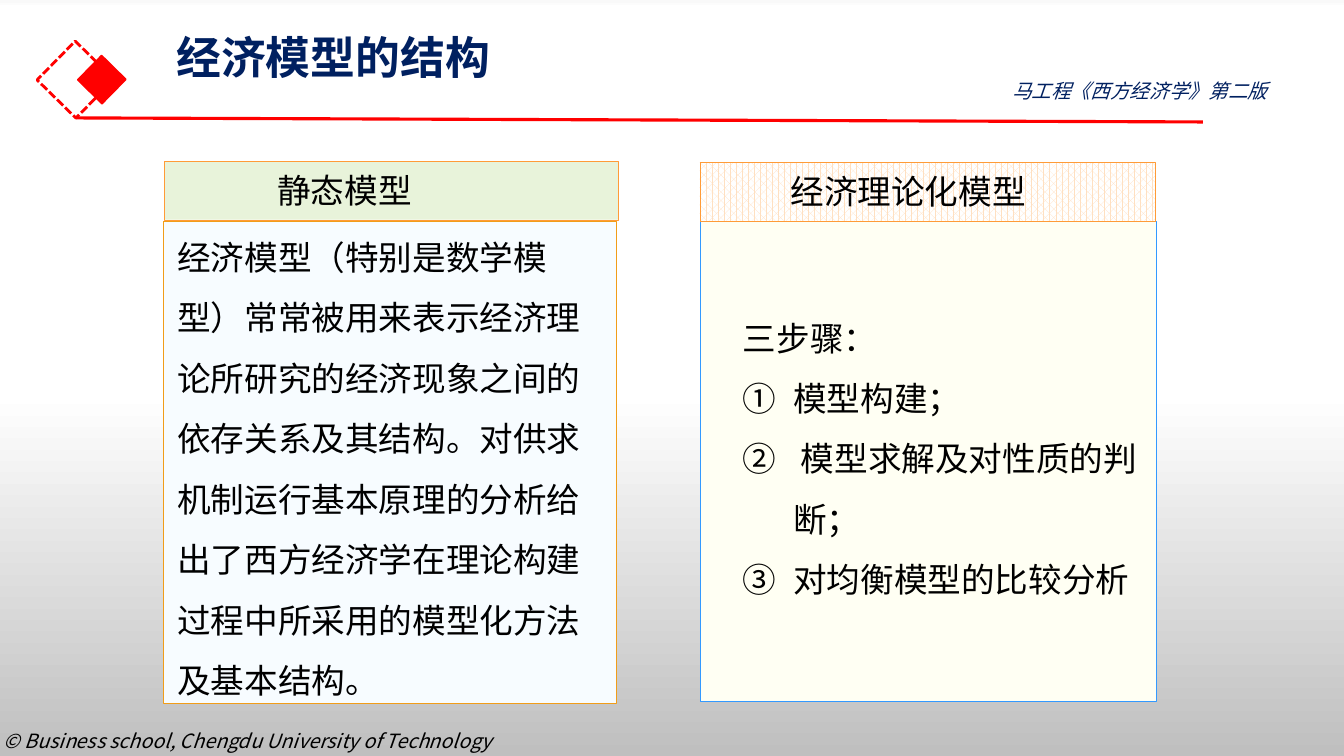
from typing import NamedTuple, Optional
from pptx import Presentation, util as u
from pptx.dml.color import RGBColor
from pptx.enum import dml, shapes, text
from pptx.oxml import parse_xml
from pptx.oxml.ns import nsdecls, qn

FONT = "Noto Sans CJK SC"
BLACK = RGBColor(0x00, 0x00, 0x00)
WHITE = RGBColor(0xFF, 0xFF, 0xFF)
NAVY = RGBColor(0x00, 0x20, 0x60)
RED = RGBColor(0xFF, 0x00, 0x00)
BLUE = RGBColor(0x33, 0x99, 0xFF)
GOLD = RGBColor(0xF1, 0x9D, 0x19)
AMBER = RGBColor(0xFF, 0x9B, 0x37)
PEACH = RGBColor(0xFF, 0xE0, 0xC1)
GREEN = RGBColor(0xE8, 0xF3, 0xDA)
CREAM = RGBColor(0xFF, 0xFF, 0xF3)
ICE = RGBColor(0xF7, 0xFC, 0xFF)
STOPS = [(0, "F9F9F9"), (1, "FFFFFF"), (52, "FFFFFF"), (100, "BFBFBF")]


class Area(NamedTuple):
    left: float
    top: float
    width: float
    height: float


class Box(NamedTuple):
    area: Area
    fill: Optional[RGBColor]
    line: RGBColor
    weight: float
    turn: float = 0
    dash: bool = False


class Head(NamedTuple):
    box: Box
    title: str
    inset: float
    dotted: bool = False


class Note(NamedTuple):
    area: Area
    lines: list[str]
    size: int
    color: RGBColor = BLACK
    bold: bool = False
    italic: bool = False
    space: float = 1.0
    wrap: bool = True
    middle: bool = False
    listed: bool = False


BOXES = [
    Box(Area(6.95, 2.2, 4.52, 4.76), CREAM, BLUE, 0.75),
    Box(Area(1.62, 2.2, 4.5, 4.78), ICE, GOLD, 0.75),
    Box(Area(0.48, 0.52, 0.54, 0.54), None, RED, 2, 314.5, True),
    Box(Area(0.84, 0.62, 0.34, 0.34), RED, RED, 1, 314.5),
]
HEADS = [
    Head(Box(Area(1.63, 1.6, 4.5, 0.58), GREEN, AMBER, 0.25), "静态模型", 1.12),
    Head(Box(Area(6.94, 1.61, 4.52, 0.58), PEACH, AMBER, 0.25), "经济理论化模型", 0.9, True),
]
NOTES = [
    Note(Area(-0.06, 7.18, 5.31, 0.34),
         ["© Business school, Chengdu University of Technology"], 14, italic=True, wrap=False),
    Note(Area(1.65, 0.25, 11.5, 0.68), ["经济模型的结构"], 32, NAVY,
         bold=True, space=0.9, middle=True),
    Note(Area(9.94, 0.73, 3.24, 0.34), ["马工程《西方经济学》第二版"], 14, NAVY, italic=True),
    Note(Area(1.66, 2.1, 4.43, 4.95),
         ["经济模型（特别是数学模型）常常被用来表示经济理论所研究的经济现象之间的依存关系及其结构。"
          "对供求机制运行基本原理的分析给出了西方经济学在理论构建过程中所采用的模型化方法及基本结构。"],
         24, space=1.5),
    Note(Area(7.27, 2.9, 4.3, 4.27),
         ["三步骤：", "模型构建；", " 模型求解及对性质的判断；", "对均衡模型的比较分析"],
         24, space=1.5, listed=True),
]


def place(area: Area) -> list[int]:
    return [u.Inches(side) for side in area]


def style(par, size: int, color: RGBColor, bold: bool = False, italic: bool = False) -> None:
    for run in par.runs:
        font = run.font
        font.name, font.size = FONT, u.Pt(size)
        font.bold, font.italic = bold, italic
        font.color.rgb = color
        east = parse_xml(f'<a:ea {nsdecls("a")} typeface="{FONT}"/>')
        font._element.find(qn("a:latin")).addnext(east)


def number(par) -> None:
    props = par._p.get_or_add_pPr()
    props.set("marL", str(u.Inches(0.5)))
    props.set("indent", str(-u.Inches(0.5)))
    props.append(parse_xml(f'<a:buFont {nsdecls("a")} typeface="{FONT}"/>'))
    props.append(parse_xml(f'<a:buAutoNum {nsdecls("a")} type="circleNumDbPlain"/>'))


def draw_box(slide, box: Box):
    shape = slide.shapes.add_shape(shapes.MSO_SHAPE.RECTANGLE, *place(box.area))
    shape.shadow.inherit = False
    shape.rotation = box.turn
    if box.fill is None:
        shape.fill.background()
    else:
        shape.fill.solid()
        shape.fill.fore_color.rgb = box.fill
    shape.line.color.rgb = box.line
    shape.line.width = u.Pt(box.weight)
    if box.dash:
        shape.line.dash_style = dml.MSO_LINE.SQUARE_DOT
    return shape


def draw_head(slide, head: Head) -> None:
    shape = draw_box(slide, head.box)
    if head.dotted:
        shape.fill.patterned()
        shape.fill.pattern = dml.MSO_PATTERN.PERCENT_60
        shape.fill.fore_color.rgb = head.box.fill
        shape.fill.back_color.rgb = WHITE
    frame = shape.text_frame
    frame.text = head.title
    frame.margin_left = u.Inches(head.inset)
    frame.vertical_anchor = text.MSO_ANCHOR.MIDDLE
    frame.paragraphs[0].alignment = text.PP_ALIGN.LEFT
    style(frame.paragraphs[0], 24, BLACK)


def draw_note(slide, note: Note) -> None:
    frame = slide.shapes.add_textbox(*place(note.area)).text_frame
    frame.word_wrap = note.wrap
    frame.text = "\n".join(note.lines)
    if note.middle:
        frame.vertical_anchor = text.MSO_ANCHOR.MIDDLE
    for index, par in enumerate(frame.paragraphs):
        par.line_spacing = note.space
        style(par, note.size, note.color, note.bold, note.italic)
        if note.listed and index > 0:
            number(par)


def draw_rule(slide) -> None:
    ends = [u.Inches(side) for side in (0.75, 1.17, 11.93, 1.21)]
    rule = slide.shapes.add_connector(shapes.MSO_CONNECTOR.STRAIGHT, *ends)
    rule.line.color.rgb = RED
    rule.line.width = u.Pt(2.25)
    rule._element.spPr.append(parse_xml(f'<a:effectLst {nsdecls("a")}/>'))


def shade(slide) -> None:
    fill = slide.background.fill
    fill.gradient()
    fill.gradient_angle = 270
    stops = slide.element.find(".//" + qn("a:gsLst"))
    for stop in list(stops):
        stops.remove(stop)
    for point, color in STOPS:
        stops.append(parse_xml(
            f'<a:gs {nsdecls("a")} pos="{point * 1000}"><a:srgbClr val="{color}"/></a:gs>'))


def main() -> None:
    deck = Presentation()
    deck.slide_width, deck.slide_height = u.Inches(13.33), u.Inches(7.5)
    slide = deck.slides.add_slide(deck.slide_layouts[6])
    shade(slide)
    # Panels, emblem and rule
    for box in BOXES:
        draw_box(slide, box)
    draw_rule(slide)
    # Text and panel headings
    for note in NOTES:
        draw_note(slide, note)
    for head in HEADS:
        draw_head(slide, head)
    deck.save("out.pptx")


if __name__ == "__main__":
    main()
